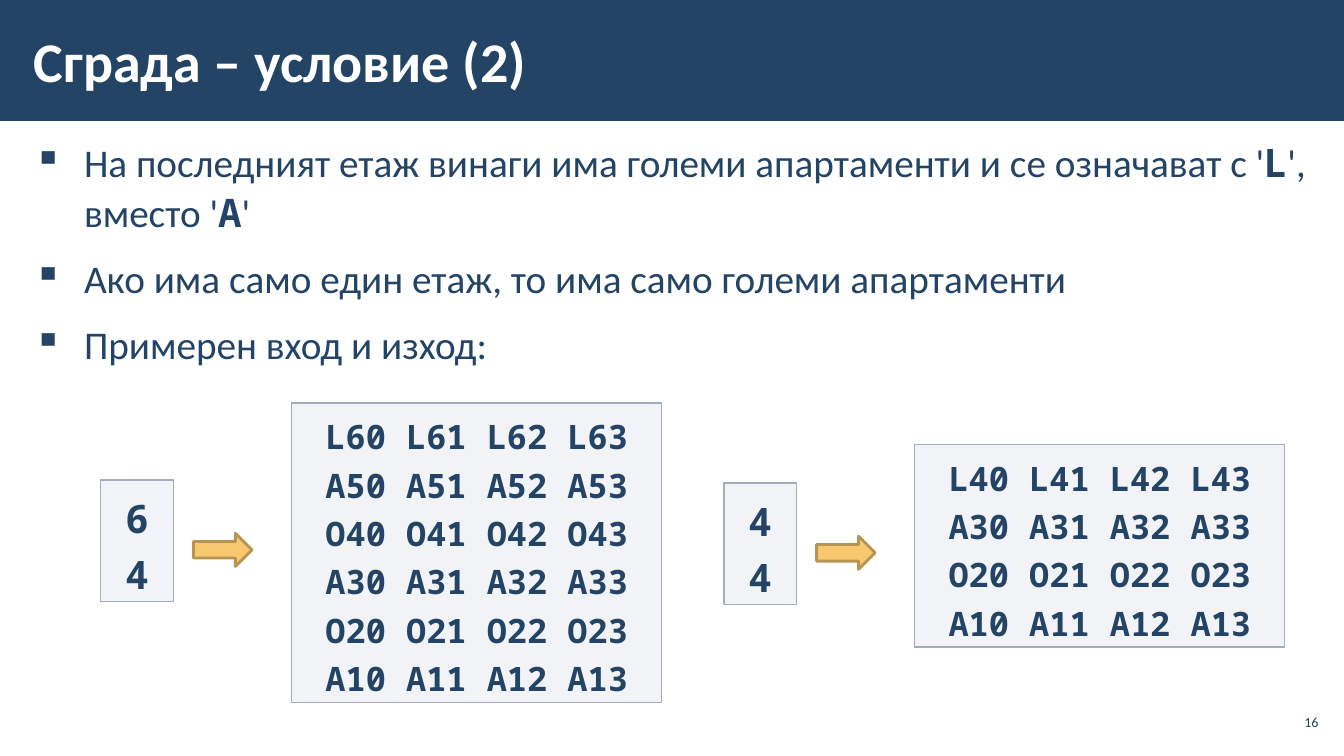
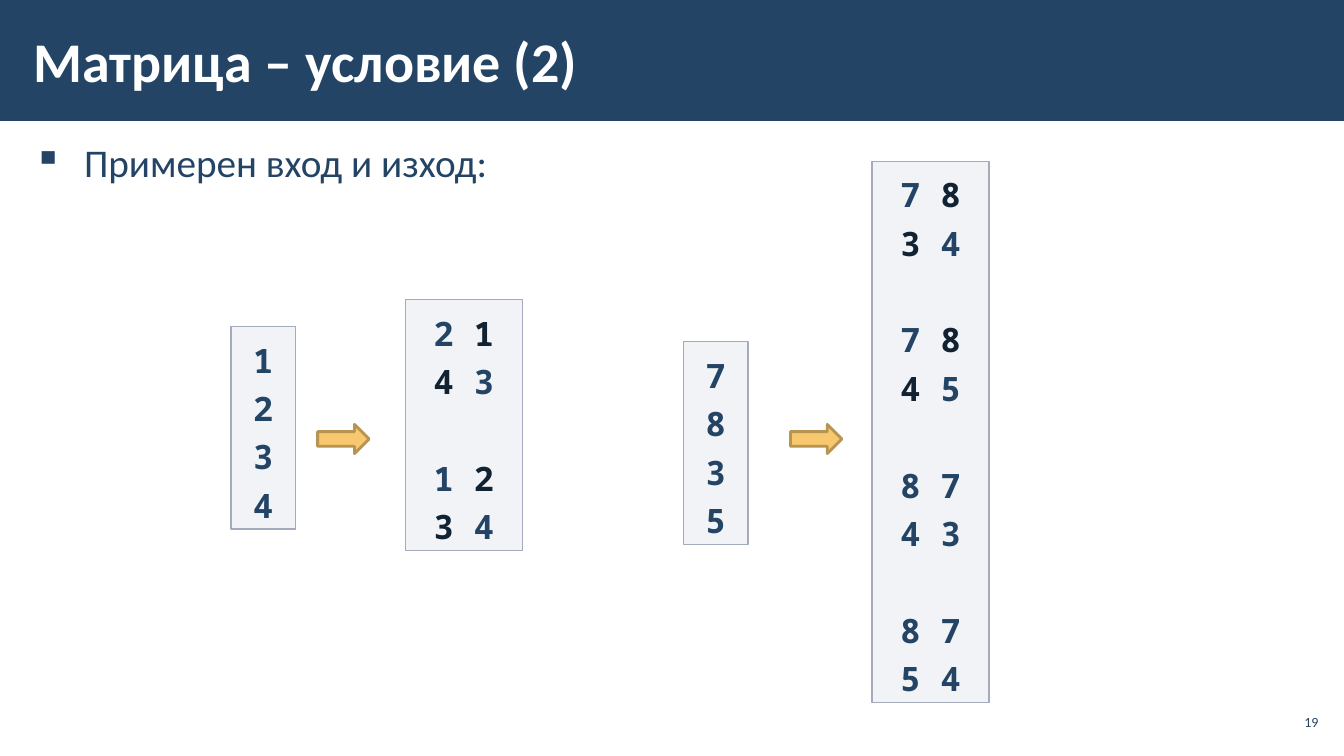
from dataclasses import dataclass

from lxml import etree
from pptx import Presentation
from pptx.dml.color import RGBColor
from pptx.enum.shapes import MSO_SHAPE
from pptx.enum.text import MSO_ANCHOR, MSO_AUTO_SIZE, PP_ALIGN
from pptx.oxml.ns import qn
from pptx.util import Inches, Pt

RECTANGLE, ARROW = MSO_SHAPE.RECTANGLE, MSO_SHAPE.RIGHT_ARROW
TOP, MIDDLE = MSO_ANCHOR.TOP, MSO_ANCHOR.MIDDLE
LEFT, CENTER, RIGHT = PP_ALIGN.LEFT, PP_ALIGN.CENTER, PP_ALIGN.RIGHT
GROW = MSO_AUTO_SIZE.SHAPE_TO_FIT_TEXT

# The slide is a grid of 100 columns by 100 rows
WIDTH, HEIGHT = Inches(13.33), Inches(7.5)


@dataclass(frozen=True)
class Theme:
    navy: RGBColor = RGBColor.from_string("234465")
    dark: RGBColor = RGBColor.from_string("112233")
    white: RGBColor = RGBColor.from_string("FFFFFF")
    panel: RGBColor = RGBColor.from_string("C2C7D2")
    panel_line: RGBColor = RGBColor.from_string("A3ABBC")
    arrow: RGBColor = RGBColor.from_string("F7C86D")
    arrow_line: RGBColor = RGBColor.from_string("B79451")
    sans: str = "Calibri"
    mono: str = "Noto Sans Mono"
    title_size: int = 40
    body_size: int = 28
    code_size: int = 24
    number_size: int = 10
    panel_alpha: int = 20


THEME = Theme()


@dataclass(frozen=True)
class ExampleStyle:
    """Sizes and offsets, in columns and rows, of one input-output pair."""
    input_width: float
    output_width: float
    arrow_width: float
    arrow_height: float
    input_size: int


BUILDING = ExampleStyle(5.4, 27.53, 4.35, 4.4, 28)
MATRIX = ExampleStyle(4.8, 8.7, 3.83, 3.87, 24)


def place(column, row, columns, rows):
    return (round(WIDTH * column / 100), round(HEIGHT * row / 100),
            round(WIDTH * columns / 100), round(HEIGHT * rows / 100))


def set_font(font, name, size, color, bold=False):
    font.name, font.size, font.bold = name, Pt(size), bold
    font.color.rgb = color


def add_spans(para, text, emphasize):
    """Split text at asterisks and emphasize every second part."""
    for index, part in enumerate(text.split("*")):
        if part:
            span = para.add_run()
            span.text = part
            if index % 2:
                emphasize(span.font)


def code_word(font):
    font.name, font.bold = THEME.mono, True


def dark_digit(font):
    font.color.rgb = THEME.dark


def paragraphs(frame, count):
    return [frame.paragraphs[0]] + [frame.add_paragraph() for _ in range(count - 1)]


# Text boxes
def add_text_frame(page, area, anchor=TOP, side=0.12):
    frame = page.shapes.add_textbox(*place(*area)).text_frame
    frame.word_wrap, frame.vertical_anchor = True, anchor
    frame.margin_left = frame.margin_right = Inches(side)
    frame.margin_top = frame.margin_bottom = Inches(0.04)
    return frame


def add_label(page, area, text, size, color, bold=False, align=LEFT, side=0.12):
    para = add_text_frame(page, area, MIDDLE, side).paragraphs[0]
    para.text, para.alignment = text, align
    set_font(para.font, THEME.sans, size, color, bold)


def add_bullets(page, items):
    frame = add_text_frame(page, (1.6, 17.5, 96.9, 75.9))
    for para, item in zip(paragraphs(frame, len(items)), items):
        properties = para._p.get_or_add_pPr()
        properties.set("marL", str(Inches(0.5)))
        properties.set("indent", str(-Inches(0.5)))
        etree.SubElement(properties, qn("a:buChar")).set("char", "▪")
        para.line_spacing = 1.05
        para.space_before = para.space_after = Pt(6)
        set_font(para.font, THEME.sans, THEME.body_size, THEME.navy)
        add_spans(para, item, code_word)


# Shapes
def add_block(shapes, kind, area, fill, line=None, weight=1):
    block = shapes.add_shape(kind, *place(*area))
    block.shadow.inherit = False
    block.fill.solid()
    block.fill.fore_color.rgb = fill
    if line is None:
        block.line.fill.background()
    else:
        block.line.color.rgb, block.line.width = line, Pt(weight)
    return block


def add_code_panel(shapes, column, row, columns, blocks, size):
    """Draw lines of code; blocks of lines stand one line apart."""
    line_count = sum(map(len, blocks)) + len(blocks) - 1
    rows = (line_count * size * 0.02 + 0.09) / 7.5 * 100
    panel = add_block(shapes, RECTANGLE, (column, row, columns, rows),
                      THEME.panel, THEME.panel_line)
    color = panel.fill._xPr.find(qn("a:solidFill"))[0]
    etree.SubElement(color, qn("a:alpha")).set("val", str(THEME.panel_alpha * 1000))
    frame = panel.text_frame
    frame.word_wrap, frame.vertical_anchor, frame.auto_size = True, TOP, GROW
    lines = [(text, number > 0 and position == 0)
             for number, block in enumerate(blocks)
             for position, text in enumerate(block)]
    for para, (text, starts_block) in zip(paragraphs(frame, len(lines)), lines):
        para.alignment, para.line_spacing = CENTER, 1.2
        if starts_block:
            para.space_before = Pt(size * 1.44)
        set_font(para.font, THEME.mono, size, THEME.navy, True)
        add_spans(para, text, dark_digit)


def add_example(page, style, columns, rows, given, result):
    """Group input, arrow and output; columns and rows give their corners."""
    shapes = page.shapes.add_group_shape().shapes
    add_code_panel(shapes, columns[0], rows[0], style.input_width,
                   [given], style.input_size)
    add_block(shapes, ARROW,
              (columns[1], rows[1], style.arrow_width, style.arrow_height),
              THEME.arrow, THEME.arrow_line, 2)
    add_code_panel(shapes, columns[2], rows[2], style.output_width,
                   result, THEME.code_size)


# Frame shared by all slides
def add_page(deck, title, number, bullets):
    page = deck.slides.add_slide(deck.slide_layouts[6])
    add_block(page.shapes, RECTANGLE, (0, 0, 100, 16), THEME.navy)
    add_bullets(page, bullets)
    add_label(page, (1.6, 1.5, 78, 12.9), title, THEME.title_size, THEME.white, True)
    add_label(page, (94.9, 93.3, 3.5, 4.5), str(number), THEME.number_size,
              THEME.navy, align=RIGHT, side=0.04)
    return page


def apartments(floors):
    """List four flats per floor: large on top, then flats or offices."""
    def letter(floor):
        return "L" if floor == floors else "AO"[floor % 2 == 0]
    return [" ".join(f"{letter(floor)}{floor}{flat}" for flat in range(4))
            for floor in range(floors, 0, -1)]


def build_building(deck):
    page = add_page(deck, "Сграда – условие (2)", 16, [
        "На последният етаж винаги има големи апартаменти и се означават с '*L*', вместо '*А*'",
        "Ако има само един етаж, то има само големи апартаменти",
        "Примерен вход и изход:",
    ])
    for left, floors, rows in ((7.5, 6, (63.47, 70.53, 53.33)),
                               (53.86, 4, (63.87, 70.93, 58.8))):
        add_example(page, BUILDING, (left, left + 6.9, left + 14.2), rows,
                    [str(floors), "4"], [apartments(floors)])


def build_matrix(deck):
    page = add_page(deck, "Матрица – условие (2)", 19, ["Примерен вход и изход:"])
    add_example(page, MATRIX, (17.18, 23.63, 30.16), (43.2, 56.13, 39.6), "1234",
                [["2 *1*", "*4* 3"], ["1 *2*", "*3* 4"]])
    add_example(page, MATRIX, (50.86, 58.81, 64.89), (45.2, 56.13, 21.33), "7835",
                [["7 *8*", "*3* 4"], ["7 *8*", "*4* 5"],
                 ["8 7", "4 3"], ["8 7", "5 4"]])


def main():
    deck = Presentation()
    deck.slide_width, deck.slide_height = WIDTH, HEIGHT
    build_building(deck)
    build_matrix(deck)
    deck.save("out.pptx")


if __name__ == "__main__":
    main()
